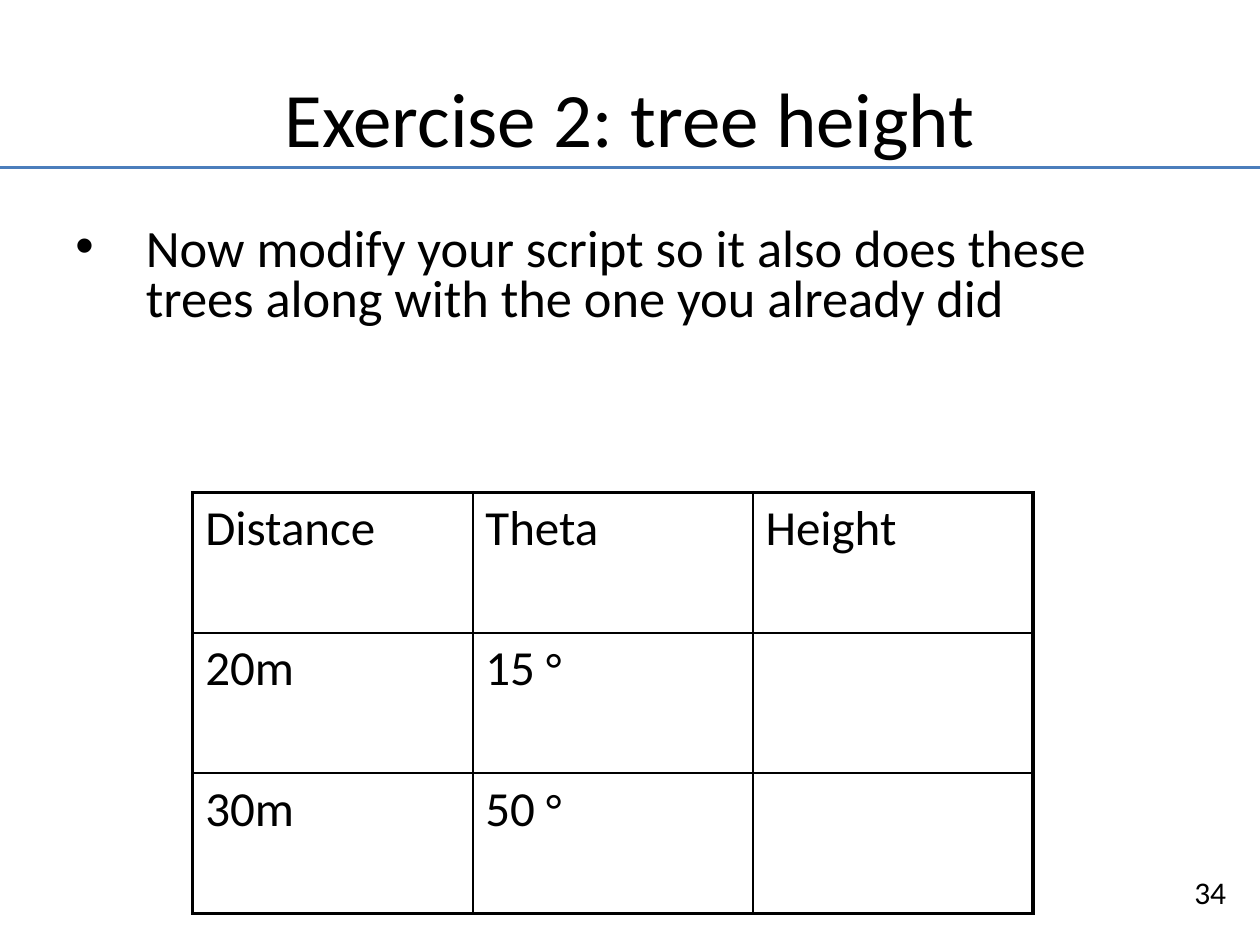
from dataclasses import dataclass

from lxml.etree import SubElement as Sub
from pptx import Presentation
from pptx.dml.color import RGBColor
from pptx.enum.shapes import MSO_CONNECTOR
from pptx.enum.text import MSO_ANCHOR, PP_ALIGN
from pptx.oxml.ns import qn
from pptx.util import Inches, Pt

FONT = "Calibri"
BLACK = "000000"
BLUE = "4B7EBC"
THICK, THIN = 2.25, 1


@dataclass
class Tree:
    dist: str
    theta: str
    height: str
    unit: str = ""


TREES = [
    Tree("Distance", "Theta", "Height"),
    Tree("20m", "15 ", "", "°"),
    Tree("30m", "50 ", "", "°"),
]


def paint(color, tone: str) -> None:
    color.rgb = RGBColor.from_string(tone)


def style(para, size: float) -> None:
    for font in [para.font] + [run.font for run in para.runs]:
        font.name = FONT
        font.size = Pt(size)
        font.bold = False
        paint(font.color, BLACK)


def add_text(slide, box: tuple, text: str, wrap: bool):
    frame = slide.shapes.add_textbox(*map(Inches, box)).text_frame
    frame.word_wrap = wrap
    frame.text = text
    return frame.paragraphs[0]


def add_bullet(para, indent: float) -> None:
    props = para._p.get_or_add_pPr()
    props.set("marL", str(Inches(indent)))
    props.set("indent", str(-Inches(indent)))
    Sub(props, qn("a:buFont"), typeface="Arial")
    Sub(props, qn("a:buChar"), char="•")


def add_edge(cell, side: str, width: float) -> None:
    edge = Sub(cell._tc.get_or_add_tcPr(), qn(f"a:ln{side}"), w=str(Pt(width)))
    fill = Sub(edge, qn("a:solidFill"))
    Sub(fill, qn("a:srgbClr"), val=BLACK)


def add_grid(slide, trees: list[Tree]) -> None:
    rows, cols = len(trees), 3
    box = map(Inches, (1.53, 3.91, 6.67, 3.34))
    table = slide.shapes.add_table(rows, cols, *box).table
    table.first_row = table.horz_banding = False
    for r, tree in enumerate(trees):
        for c, text in enumerate((tree.dist, tree.theta, tree.height)):
            cell = table.cell(r, c)
            outer = {"L": c == 0, "R": c == cols - 1,
                     "T": r == 0, "B": r == rows - 1}
            for side, thick in outer.items():
                add_edge(cell, side, THICK if thick else THIN)
            cell.fill.background()
            para = cell.text_frame.paragraphs[0]
            para.text = text
            style(para, 28)
            if c == 1 and tree.unit:
                run = para.add_run()
                run.text = tree.unit
                style(para, 28)
                run.font.size = Pt(26)


def add_rule(slide, top: float) -> None:
    ends = map(Inches, (0, top, 10, top))
    rule = slide.shapes.add_connector(MSO_CONNECTOR.STRAIGHT, *ends)
    rule.line.width = Pt(1.75)
    paint(rule.line.color, BLUE)
    Sub(rule._element.spPr, qn("a:effectLst"))


def main() -> None:
    deck = Presentation()
    deck.slide_width, deck.slide_height = Inches(10), Inches(7.5)
    slide = deck.slides.add_slide(deck.slide_layouts[5])

    title = slide.shapes.title
    title.left, title.top = Inches(0.5), Inches(0.3)
    title.width, title.height = Inches(9), Inches(1.25)
    title.text_frame.text = "Exercise 2: tree height"
    title.text_frame.vertical_anchor = MSO_ANCHOR.MIDDLE
    head = title.text_frame.paragraphs[0]
    head.alignment = PP_ALIGN.CENTER
    style(head, 44)

    add_rule(slide, 1.33)

    task = add_text(
        slide, (0.5, 1.75, 9, 1.29),
        "Now modify your script so it also does these trees "
        "along with the one you already did", True)
    add_bullet(task, 0.56)
    task.line_spacing = 0.8
    style(task, 30)

    page = add_text(slide, (9.38, 6.88, 0.45, 0.4), "34", False)
    style(page, 18)

    add_grid(slide, TREES)
    deck.save("out.pptx")


if __name__ == "__main__":
    main()
